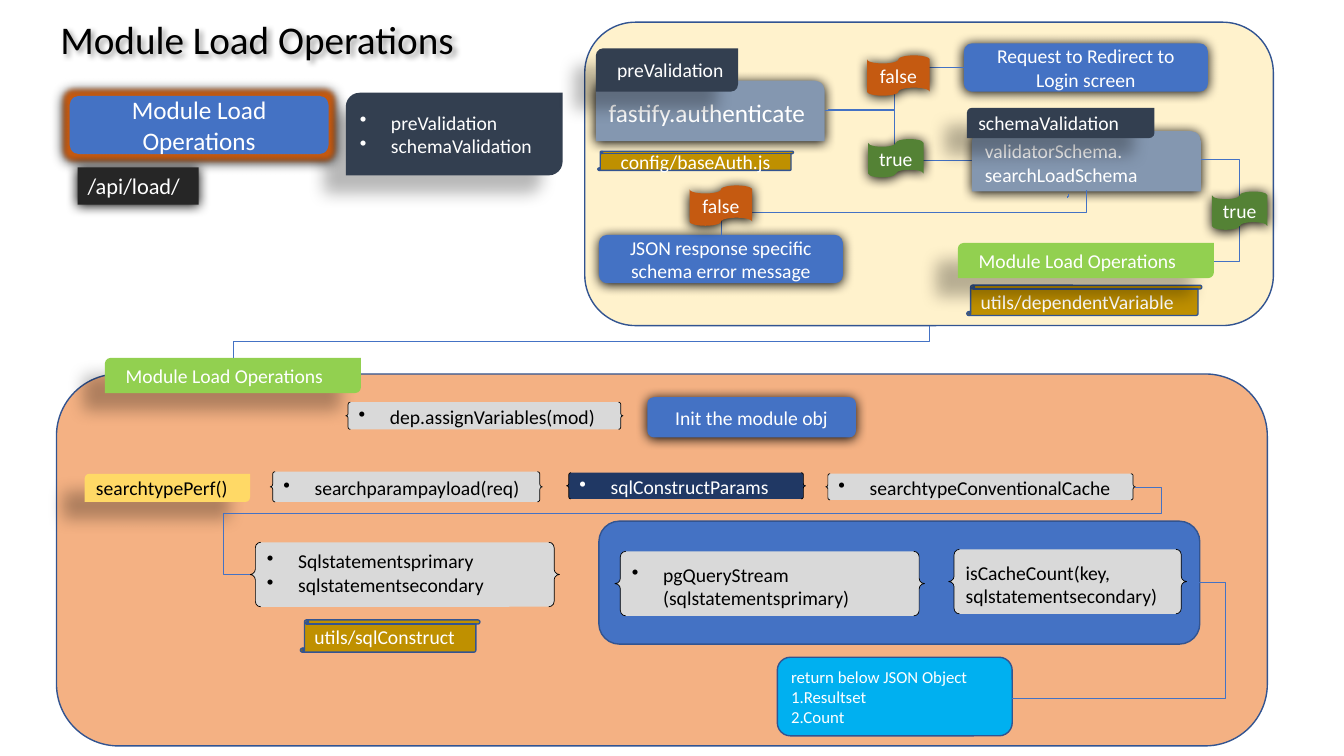
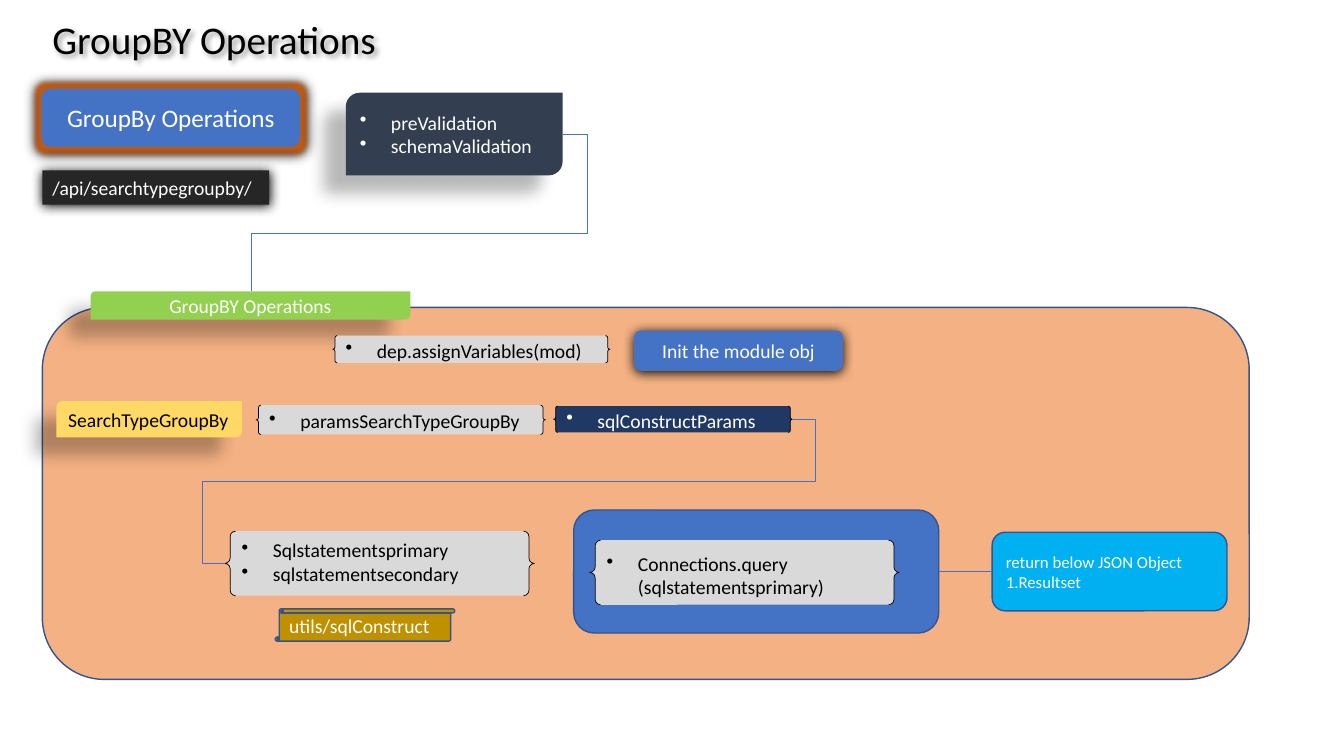
from collections import namedtuple

from lxml.etree import SubElement
from pptx import Presentation
from pptx.dml.color import RGBColor
from pptx.enum.shapes import MSO_CONNECTOR as Wire, MSO_SHAPE as Form
from pptx.enum.text import MSO_ANCHOR as Anchor, PP_ALIGN as Align
from pptx.oxml.ns import qn
from pptx.util import Inches, Pt

FONT = "Calibri"
WHITE, BLACK = "FFFFFF", "000000"
BLUE, EDGE, NAVY = "4472C4", "325491", "203864"
SLATE, STEEL, GRAY, COAL = "333F50", "8497B0", "D9D9D9", "262626"
GOLD, RUST, GREEN, LIME = "BF9000", "C55A11", "548235", "92D050"
YELLOW, CREAM, PEACH, SKY = "FFD966", "FFF2CC", "F4B183", "00B0F0"

SOFT = (BLACK, 100, 8.5, 1, 90)
CAST = (BLACK, 28, 11.8, 19.7, 141)
FAINT = (BLACK, 40, 4, 3, 45)

Style = namedtuple("Style", "form fill ink size align edge shade",
                   defaults=(WHITE, 14, Align.LEFT, None, None))
OUTLINE, HAIR = (EDGE, 1), (BLACK, 0.5)
TITLE = Style(Form.FLOWCHART_ALTERNATE_PROCESS, BLUE, size=18, align=Align.CENTER, shade=SOFT)
ROUTE = Style(Form.RECTANGLE, COAL, shade=SOFT)
NOTE = Style(Form.ROUNDED_RECTANGLE, BLUE, align=Align.CENTER, shade=SOFT)
CHECK = Style(Form.ROUND_2_SAME_RECTANGLE, STEEL, shade=SOFT)
STAGE = Style(Form.ROUND_2_DIAG_RECTANGLE, SLATE, shade=CAST)
HANDLER = STAGE._replace(fill=LIME)
ENTRY = STAGE._replace(fill=YELLOW, ink=BLACK)
NO = Style(Form.FLOWCHART_PUNCHED_TAPE, RUST, align=Align.CENTER, shade=SOFT)
YES = NO._replace(fill=GREEN)
CALL = Style(Form.DOUBLE_BRACE, GRAY, BLACK, edge=HAIR)
PARAMS = CALL._replace(fill=NAVY, ink=WHITE)
FILE = Style(Form.VERTICAL_SCROLL, GOLD, edge=OUTLINE)
AREA = Style(Form.ROUNDED_RECTANGLE, PEACH, edge=OUTLINE)
RULES = AREA._replace(fill=CREAM)
STORE = AREA._replace(fill=BLUE)
RESULT = AREA._replace(fill=SKY, size=12)


def color(code):
    """Turn a hex string into a colour."""
    return RGBColor.from_string(code)


def tint(node, code, alpha):
    """Add a colour with an opacity in percent to an effect."""
    clr = SubElement(node, qn("a:srgbClr"), val=code)
    SubElement(clr, qn("a:alpha"), val=str(alpha * 1000))


def shade(shape, spec=None, glow=None):
    """Replace the theme shadow with a glow, a shadow or nothing."""
    shape.shadow.inherit = False
    fx = shape._element.spPr.find(qn("a:effectLst"))
    if glow:
        tint(SubElement(fx, qn("a:glow"), rad=str(Pt(8))), glow, 100)
    if spec:
        code, alpha, blur, dist, angle = spec
        node = SubElement(fx, qn("a:outerShdw"), blurRad=str(Pt(blur)), dist=str(Pt(dist)),
                          dir=str(angle * 60000), algn="ctr", rotWithShape="0")
        tint(node, code, alpha)


def hang(para, mark):
    """Indent a paragraph and give it a bullet if marked."""
    props = para._p.get_or_add_pPr()
    props.set("marL", str(Inches(0.31)))
    if mark:
        props.set("indent", str(-Inches(0.31)))
        SubElement(props, qn("a:buChar"), char="•")


def write(frame, lines, style, dots=0):
    """Write lines into a text frame, the first few with bullets."""
    for i, line in enumerate(lines):
        para = frame.add_paragraph() if i else frame.paragraphs[0]
        para.alignment = style.align
        if dots:
            hang(para, i < dots)
        run = para.add_run()
        run.text = line
        font = run.font
        font.name, font.size = FONT, Pt(style.size)
        font.color.rgb = color(style.ink)


def box(slide, style, at, *lines, dots=0, left=0.1, glow=None):
    """Add a styled shape with its lines of text."""
    shape = slide.shapes.add_shape(style.form, *map(Inches, at))
    shape.fill.solid()
    shape.fill.fore_color.rgb = color(style.fill)
    if style.edge:
        shape.line.color.rgb = color(style.edge[0])
        shape.line.width = Pt(style.edge[1])
    else:
        shape.line.fill.background()
    shade(shape, style.shade, glow)
    frame = shape.text_frame
    frame.word_wrap = True
    frame.vertical_anchor = Anchor.MIDDLE
    frame.margin_left = Inches(left)
    write(frame, lines, style, dots)
    return shape


def link(slide, kind, start, end):
    """Add a thin blue connector without a shadow."""
    wire = slide.shapes.add_connector(kind, *map(Inches, (*start, *end)))
    wire.line.color.rgb = color(BLUE)
    wire.line.width = Pt(0.5)
    SubElement(wire._element.spPr, qn("a:effectLst"))
    return wire


def bend(slide, start, end, *bends, turn=False):
    """Add an elbow connector, leaving vertically when turned."""
    if turn:
        mx, my = (start[0] + end[0]) / 2, (start[1] + end[1]) / 2
        start, end = ((mx + y - my, my - x + mx) for x, y in (start, end))
    props = link(slide, Wire.ELBOW, start, end)._element.spPr
    if turn:
        props.find(qn("a:xfrm")).set("rot", "5400000")
    geom = props.find(qn("a:prstGeom"))
    geom.set("prst", f"bentConnector{len(bends) + 2}")
    for i, part in enumerate(bends, 1):
        SubElement(geom.find(qn("a:avLst")), qn("a:gd"), name=f"adj{i}",
                   fmla=f"val {round(part * 100000)}")


def start(deck, title, width, align):
    """Add a slide with its title and the shared validation list."""
    slide = deck.slides.add_slide(deck.slide_layouts[0])
    sub = slide.placeholders[1]._element
    sub.getparent().remove(sub)
    head = slide.shapes.title
    head.left, head.top, head.width, head.height = map(Inches, (0.42, 0.14, width, 0.53))
    head.text_frame.vertical_anchor = Anchor.BOTTOM
    head.text_frame.word_wrap = True
    write(head.text_frame, [title], Style(None, None, BLACK, 28, align))
    head.text_frame.paragraphs[0].line_spacing = 0.9
    shade(head, FAINT)
    box(slide, STAGE, (3.43, 0.92, 2.15, 0.82), "preValidation", "schemaValidation", dots=2)
    return slide


def setup(slide, x, y):
    """Add the set-up calls of a handler."""
    box(slide, CALL, (x, y, 2.75, 0.27), "dep.assignVariables(mod)", dots=1)
    box(slide, NOTE, (x + 2.99, y - 0.05, 2.07, 0.4), "Init the module obj")
    box(slide, PARAMS, (x + 2.19, y + 0.7, 2.37, 0.26), "sqlConstructParams", dots=1)


def query(slide, x, y, width, name):
    """Add the statements, their file and the query panel, and return the panel."""
    sql = box(slide, CALL, (x, y, 3.07, 0.64),
              "Sqlstatementsprimary", "sqlstatementsecondary", dots=2)
    sql.text_frame.vertical_anchor = Anchor.TOP
    sql.text_frame.margin_top = 0
    box(slide, FILE, (x + 0.5, y + 0.77, 1.78, 0.32), "utils/sqlConstruct")
    panel = box(slide, STORE, (x + 3.46, y - 0.21, width, 1.22))
    box(slide, CALL, (x + 3.62, y + 0.09, 3.07, 0.64), name, "(sqlstatementsprimary)", dots=1)
    return panel


def checks(slide):
    """Add the validation flow of the load module."""
    box(slide, RULES, (5.8, 0.22, 6.83, 3.01))
    box(slide, CHECK._replace(size=18), (5.91, 0.8, 2.27, 0.6), "fastify.authenticate")
    box(slide, NOTE, (9.56, 0.43, 2.42, 0.48), "Request to Redirect to Login screen")
    box(slide, FILE._replace(align=Align.CENTER), (5.93, 1.5, 1.94, 0.19), "config/baseAuth.js")
    bend(slide, (8.18, 1.1), (9.56, 0.67), 0.5)
    box(slide, NO, (8.6, 0.55, 0.62, 0.4), "false")
    bend(slide, (8.21, 1.09), (9.64, 1.59), 0.46)
    box(slide, YES, (8.61, 1.38, 0.55, 0.38), "true")
    box(slide, FILE, (9.59, 2.83, 2.33, 0.3), "utils/dependentVariable")
    box(slide, CHECK, (9.64, 1.3, 2.27, 0.6), "validatorSchema.", "searchLoadSchema")
    box(slide, NOTE, (5.94, 2.33, 2.42, 0.48), "JSON response specific schema error message")
    bend(slide, (10.6, 1.93), (10.59, 1.96), 0.5, turn=True)
    bend(slide, (10.77, 1.89), (7.15, 2.33), 0.5, turn=True)
    box(slide, NO, (6.84, 1.84, 0.62, 0.4), "false")
    box(slide, HANDLER, (9.5, 2.41, 2.54, 0.35), "Module Load Operations", left=0.19)
    bend(slide, (11.91, 1.58), (12.04, 2.59), 2.92)
    box(slide, YES, (12.02, 1.9, 0.55, 0.38), "true")
    box(slide, STAGE, (5.91, 0.48, 1.41, 0.43), "preValidation", left=0.19)
    box(slide, STAGE, (9.59, 1.07, 1.86, 0.3), "schemaValidation")


def load(deck):
    """Build the slide on load operations."""
    slide = start(deck, "Module Load Operations", 4.26, Align.CENTER)
    box(slide, AREA, (0.56, 3.71, 12.01, 3.69))
    checks(slide)
    box(slide, TITLE, (0.69, 0.95, 2.57, 0.58), "Module Load Operations", glow=RUST)
    box(slide, ROUTE._replace(size=16), (0.77, 1.66, 1.2, 0.37), "/api/load/")
    box(slide, HANDLER, (1.04, 3.55, 2.54, 0.35), "Module Load Operations", left=0.19)
    bend(slide, (9.22, 3.23), (2.31, 3.55), 0.5, turn=True)
    setup(slide, 3.43, 3.99)
    box(slide, ENTRY, (0.84, 4.7, 1.64, 0.28), "searchtypePerf()")
    box(slide, CALL, (2.68, 4.68, 2.7, 0.3), "searchparampayload(req)", dots=1)
    box(slide, CALL, (8.19, 4.7, 3.07, 0.26), "searchtypeConventionalCache", dots=1)
    query(slide, 2.48, 5.38, 5.96, "pgQueryStream")
    box(slide, CALL, (9.41, 5.45, 2.36, 0.64), "isCacheCount(key, sqlstatementsecondary)")
    box(slide, RESULT, (7.71, 6.52, 2.33, 0.78),
        "return below JSON Object", "1.Resultset", "2.Count")
    bend(slide, (11.26, 4.84), (2.48, 5.7), -0.03, 0.3, 1.03)
    bend(slide, (10.04, 6.93), (11.89, 5.78), 1.14)


def group(deck):
    """Build the slide on group operations."""
    slide = start(deck, "GroupBY Operations", 5.03, Align.LEFT)
    box(slide, AREA, (0.42, 3.05, 11.97, 3.69))
    box(slide, TITLE, (0.41, 0.88, 2.57, 0.58), "GroupBy Operations", glow=RUST)
    box(slide, ROUTE, (0.42, 1.69, 2.25, 0.34), "/api/searchtypegroupby/")
    box(slide, HANDLER._replace(align=Align.CENTER), (0.9, 2.89, 3.17, 0.28),
        "GroupBY Operations")
    bend(slide, (5.58, 1.33), (2.49, 2.89), -0.08, 0.63)
    setup(slide, 3.3, 3.33)
    box(slide, ENTRY, (0.56, 3.98, 1.84, 0.36), "SearchTypeGroupBy")
    box(slide, CALL, (2.54, 4.02, 2.87, 0.29), "paramsSearchTypeGroupBy", dots=1)
    panel = query(slide, 2.23, 5.27, 3.62, "Connections.query")
    result = box(slide, RESULT, (9.84, 5.28, 2.33, 0.78),
                 "return below JSON Object", "1.Resultset")
    bend(slide, (7.86, 4.16), (2.23, 5.59), -0.04, 0.43, 1.04)
    wire = link(slide, Wire.STRAIGHT, (9.84, 5.67), (9.3, 5.67))
    wire.begin_connect(result, 1)
    wire.end_connect(panel, 3)


def main():
    """Build and save the deck."""
    deck = Presentation()
    deck.slide_width, deck.slide_height = Inches(13.33), Inches(7.5)
    load(deck)
    group(deck)
    deck.save("out.pptx")


if __name__ == "__main__":
    main()
